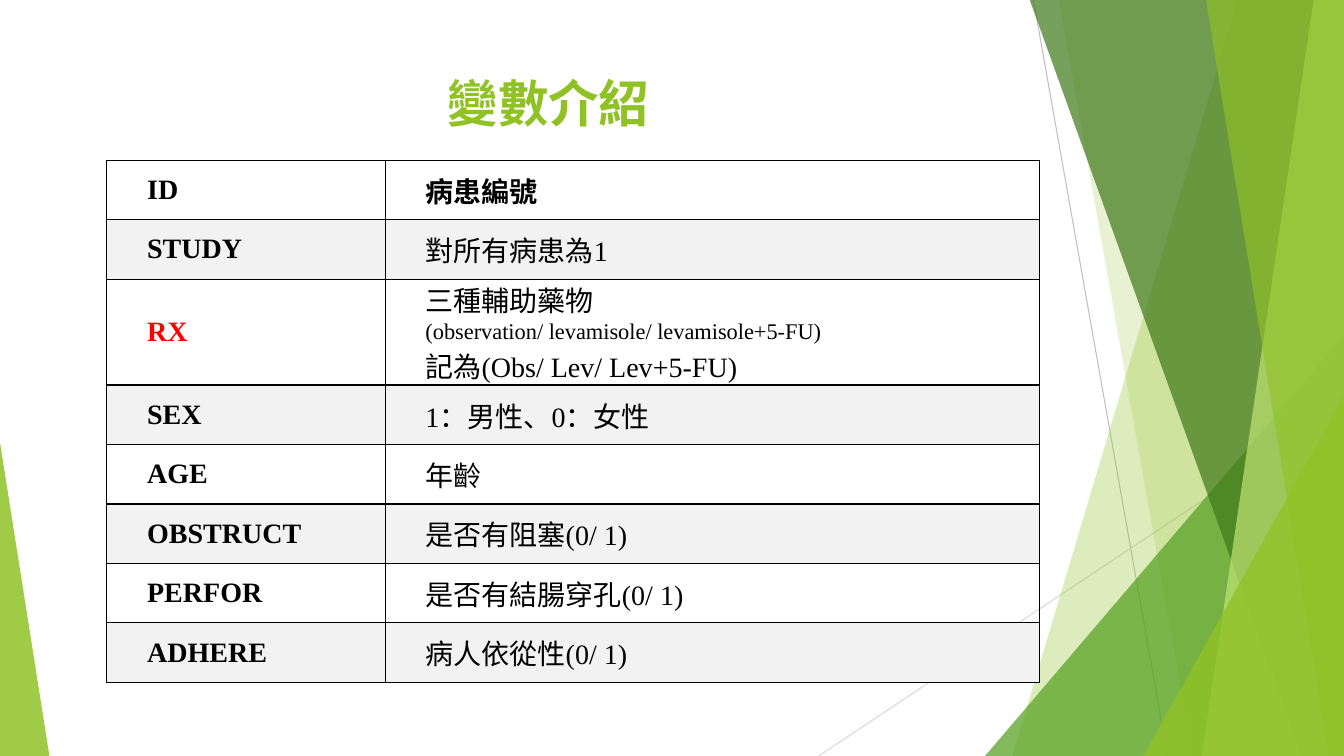
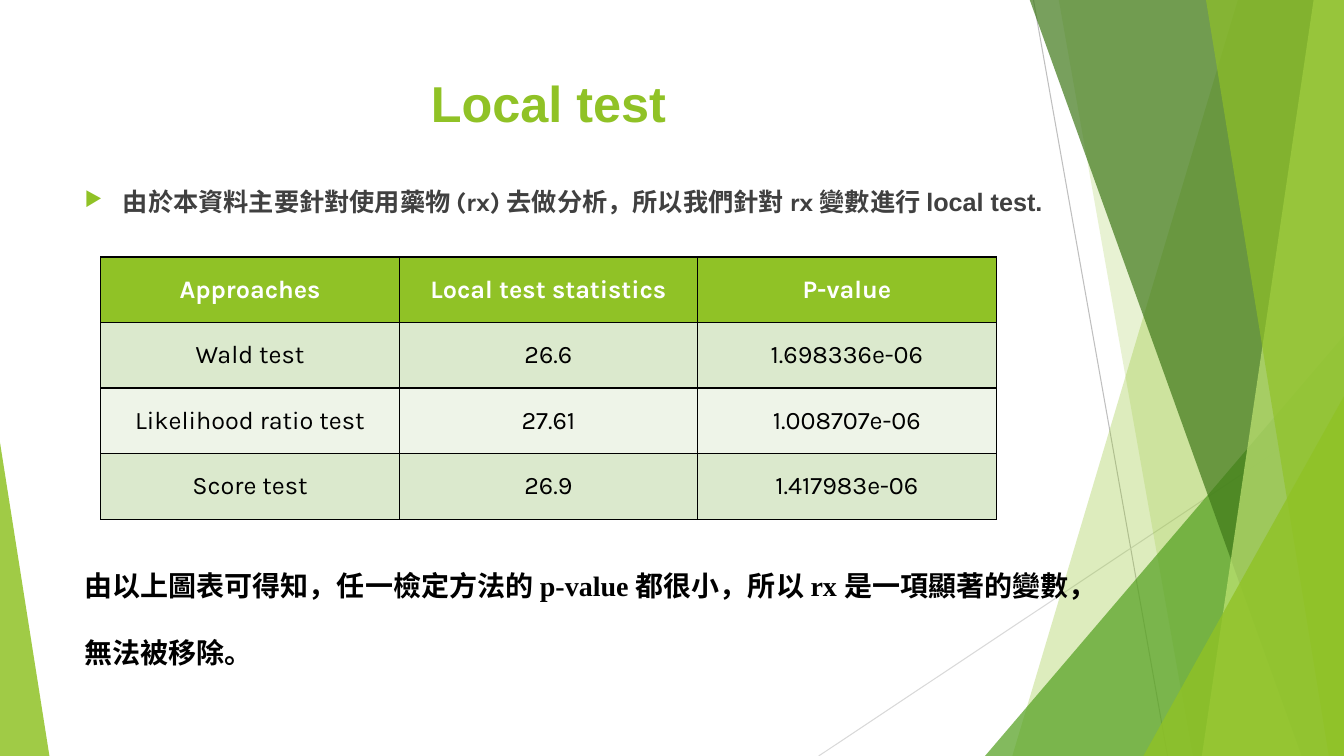
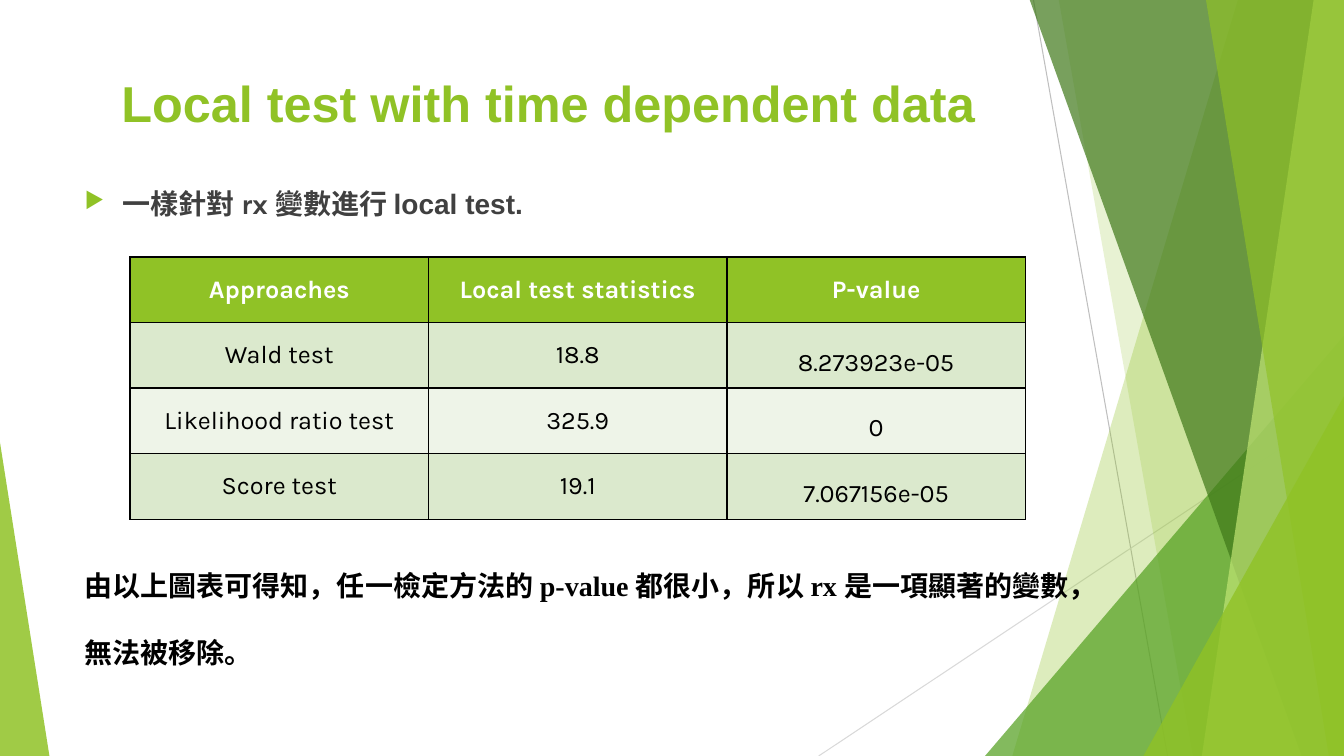
from dataclasses import dataclass, field

from lxml import etree
from pptx import Presentation
from pptx import util as u
from pptx.dml.color import RGBColor
from pptx.enum import shapes, text
from pptx.oxml.ns import qn

PX = 9144  # EMU in one px, 100 px to the inch
WIDE, HIGH = 1333, 750

GREEN = RGBColor(0x90, 0xC2, 0x26)
LEAF = RGBColor(0x54, 0xA0, 0x21)
MOSS = RGBColor(0x3F, 0x78, 0x19)
LIME = RGBColor(0xC0, 0xE4, 0x74)
MINT = RGBColor(0xDB, 0xE9, 0xCD)
PALE = RGBColor(0xEE, 0xF4, 0xE8)
ASH = RGBColor(0xF2, 0xF2, 0xF2)
SILVER = RGBColor(0xBF, 0xBF, 0xBF)
MIST = RGBColor(0xD9, 0xD9, 0xD9)
SLATE = RGBColor(0x40, 0x40, 0x40)
RED = RGBColor(0xFF, 0, 0)
BLACK = RGBColor(0, 0, 0)
WHITE = RGBColor(0xFF, 0xFF, 0xFF)

KARLA, ARIAL, TIMES = "Karla", "Arial", "Times New Roman"
MID = text.MSO_ANCHOR.MIDDLE


@dataclass
class Ray:
    start: tuple[int, int]
    end: tuple[int, int]
    color: RGBColor


@dataclass
class Band:
    """A strip from a slanted left edge to the right side of the slide."""
    top: int
    foot: int
    color: RGBColor
    alpha: int


@dataclass
class Wedge:
    """A right triangle standing on the bottom of the slide."""
    left: int
    top: int
    width: int
    tip: int
    color: RGBColor
    alpha: int


@dataclass
class Run:
    text: str
    form: dict


@dataclass
class Para:
    runs: list[Run]
    form: dict = field(default_factory=dict)
    indent: int = 0


@dataclass
class Cell:
    paras: list[Para]
    fill: RGBColor | None = None
    tight: bool = False


@dataclass
class Test:
    """A slide on one local test."""
    title: str
    lead: str
    size: int
    left: int
    stats: list[tuple[str, str]]
    loose: bool = False


RAYS = [Ray((1025, 0), (1158, HIGH), SILVER), Ray((WIDE, 403), (812, HIGH), MIST)]
DECOR = [
    Band(1228, 1004, GREEN, 30),
    Band(1050, 1183, GREEN, 20),
    Wedge(977, 333, 356, 1, LEAF, 72),
    Band(1021, 1291, MOSS, 70),
    Band(1303, 1192, LIME, 70),
    Band(1196, 1318, GREEN, 65),
    Wedge(1134, 393, 199, 1, GREEN, 80),
    Wedge(0, 439, 49, 0, GREEN, 85),
]

FIELDS = [
    ("ID", ["病患編號"]),
    ("STUDY", ["對所有病患為1"]),
    ("RX", ["三種輔助藥物", "(observation/ levamisole/ levamisole+5-FU)",
            "記為(Obs/ Lev/ Lev+5-FU)"]),
    ("SEX", ["1：男性、0：女性"]),
    ("AGE", ["年齡"]),
    ("OBSTRUCT", ["是否有阻塞(0/ 1)"]),
    ("PERFOR", ["是否有結腸穿孔(0/ 1)"]),
    ("ADHERE", ["病人依從性(0/ 1)"]),
]
HEADS = ["Approaches", "Local test statistics", "P-value"]
WAYS = ["Wald test", "Likelihood ratio test", "Score test"]
TESTS = [
    Test("Local test",
         "由於本資料主要針對使用藥物 (rx) 去做分析，所以我們針對 rx 變數進行 ", 18, 100,
         [("26.6", "1.698336e-06"), ("27.61", "1.008707e-06"),
          ("26.9", "1.417983e-06")]),
    Test("Local test with time dependent data", "一樣針對 rx 變數進行 ", 20, 129,
         [("18.8", "8.273923e-05"), ("325.9", "0"), ("19.1", "7.067156e-05")],
         loose=True),
]
RESULT = ["由以上圖表可得知，任一檢定方法的 p-value 都很小，所以 rx 是一項顯著的變數，",
          "無法被移除。"]


def px(*vals: int) -> list[u.Emu]:
    return [u.Emu(val * PX) for val in vals]


def look(name: str, size: int, color: RGBColor, bold: bool = True) -> dict:
    return {"name": name, "size": u.Pt(size), "bold": bold, "color": color}


def write(frame, paras: list[Para]) -> None:
    for num, para in enumerate(paras):
        line = frame.add_paragraph() if num else frame.paragraphs[0]
        for key, val in para.form.items():
            setattr(line, key, val)
        if para.indent:
            line._p.get_or_add_pPr().set("marL", str(para.indent * PX))
        for item in para.runs:
            run = line.add_run()
            run.text = item.text
            for key, val in item.form.items():
                if key == "color":
                    run.font.color.rgb = val
                else:
                    setattr(run.font, key, val)


def add_text(slide, box: tuple[int, int, int, int], paras: list[Para]):
    frame = slide.shapes.add_textbox(*px(*box)).text_frame
    frame.word_wrap = True
    write(frame, paras)
    return frame


def add_bullet(line) -> None:
    """Give a paragraph the hanging green arrow."""
    props = line._p.get_or_add_pPr()
    props.set("marL", str(38 * PX))
    props.set("indent", str(-38 * PX))
    tint = etree.SubElement(props, qn("a:buClr"))
    etree.SubElement(tint, qn("a:srgbClr"), val=str(GREEN))
    etree.SubElement(props, qn("a:buSzPct"), val="80000")
    etree.SubElement(props, qn("a:buChar"), char="▶")


def add_ray(slide, ray: Ray) -> None:
    line = slide.shapes.add_connector(
        shapes.MSO_CONNECTOR.STRAIGHT, *px(*ray.start, *ray.end))
    line.line.color.rgb = ray.color
    line.line.width = u.Pt(0.75)
    etree.SubElement(line.element.spPr, qn("a:effectLst"))


def add_decor(slide, part: Band | Wedge) -> None:
    if isinstance(part, Band):
        pen = slide.shapes.build_freeform(part.top, -1, scale=float(PX))
        pen.add_line_segments([(WIDE, -1), (WIDE, HIGH), (part.foot, HIGH)])
        shape = pen.convert_to_shape()
    else:
        shape = slide.shapes.add_shape(
            shapes.MSO_SHAPE.ISOSCELES_TRIANGLE,
            *px(part.left, part.top, part.width, HIGH - part.top))
        shape.adjustments[0] = part.tip
    shape.shadow.inherit = False
    shape.line.fill.background()
    shape.fill.solid()
    shape.fill.fore_color.rgb = part.color
    tint = shape.element.spPr.find(qn("a:solidFill"))[0]
    etree.SubElement(tint, qn("a:alpha"), val=str(part.alpha * 1000))


def add_border(cell) -> None:
    props = cell._tc.get_or_add_tcPr()
    for num, side in enumerate("LRTB"):
        edge = etree.Element(qn(f"a:ln{side}"), w=str(u.Pt(1)))
        fill = etree.SubElement(edge, qn("a:solidFill"))
        etree.SubElement(fill, qn("a:srgbClr"), val=str(BLACK))
        props.insert(num, edge)


def add_grid(slide, left: int, top: int, cols: list[int], rows: list[int],
             cells: list[list[Cell]]) -> None:
    table = slide.shapes.add_table(
        len(rows), len(cols), *px(left, top, sum(cols), sum(rows))).table
    for col, width in zip(table.columns, px(*cols)):
        col.width = width
    for row, height, line in zip(table.rows, px(*rows), cells):
        row.height = height
        for cell, item in zip(row.cells, line):
            cell.vertical_anchor = MID
            if item.tight:
                cell.margin_left, cell.margin_right = px(7, 7)
                cell.margin_top = cell.margin_bottom = 0
            if item.fill is None:
                cell.fill.background()
            else:
                cell.fill.solid()
                cell.fill.fore_color.rgb = item.fill
            write(cell.text_frame, item.paras)
            add_border(cell)


def start_slide(deck, title: str, font: str):
    """Add a slide with the shared backdrop and title."""
    slide = deck.slides.add_slide(deck.slide_layouts[6])
    for ray in RAYS:
        add_ray(slide, ray)
    for part in DECOR:
        add_decor(slide, part)
    add_text(slide, (74, 67, 940, 144), [
        Para([Run(title, look(font, 36, GREEN))],
             {"alignment": text.PP_ALIGN.CENTER})])
    return slide


def add_fields(deck) -> None:
    slide = start_slide(deck, "變數介紹", KARLA)
    cells = []
    for num, (name, notes) in enumerate(FIELDS):
        fill = ASH if num % 2 else None
        color = RED if name == "RX" else BLACK
        head = Para([Run(name, look(TIMES, 20, color))], indent=33)
        body = [Para([Run(note, look(TIMES, 16 if note.startswith("(") else 20,
                                     BLACK, num == 0))], indent=33)
                for note in notes]
        cells.append([Cell([head], fill, True), Cell(body, fill, True)])
    rows = [105 if len(notes) > 1 else 59 for _, notes in FIELDS]
    add_grid(slide, 106, 159, [276, 649], rows, cells)


def add_test(deck, test: Test) -> None:
    slide = start_slide(deck, test.title, ARIAL)
    lead = Para([Run(test.lead, look(KARLA, test.size, SLATE)),
                 Run("local test.", look(ARIAL, test.size, SLATE))],
                {"space_before": u.Pt(10)})
    add_bullet(add_text(slide, (74, 180, 1000, 484), [lead]).paragraphs[0])

    lines = [HEADS] + [[way, *pair] for way, pair in zip(WAYS, test.stats)]
    cells = []
    for row, line in enumerate(lines):
        fill = (MINT if row % 2 else PALE) if row else GREEN
        form = look(KARLA, 18, BLACK if row else WHITE, row == 0)
        cells.append([])
        for col, word in enumerate(line):
            loose = test.loose and row > 0 and col == 2
            align = {"alignment": text.PP_ALIGN.CENTER}
            if loose:
                align["line_spacing"] = 1.5
            cells[-1].append(Cell([Para([Run(word, form)], align)], fill, loose))
    add_grid(slide, test.left, 255, [296] * 3, [65] * 4, cells)

    add_text(slide, (74, 559, 1000, 141), [
        Para([Run(line, look(TIMES, 20, BLACK))], {"space_before": u.Pt(24 * num)})
        for num, line in enumerate(RESULT)])


def main() -> None:
    deck = Presentation()
    deck.slide_width, deck.slide_height = px(WIDE, HIGH)
    add_fields(deck)
    for test in TESTS:
        add_test(deck, test)
    deck.save("out.pptx")


if __name__ == "__main__":
    main()
